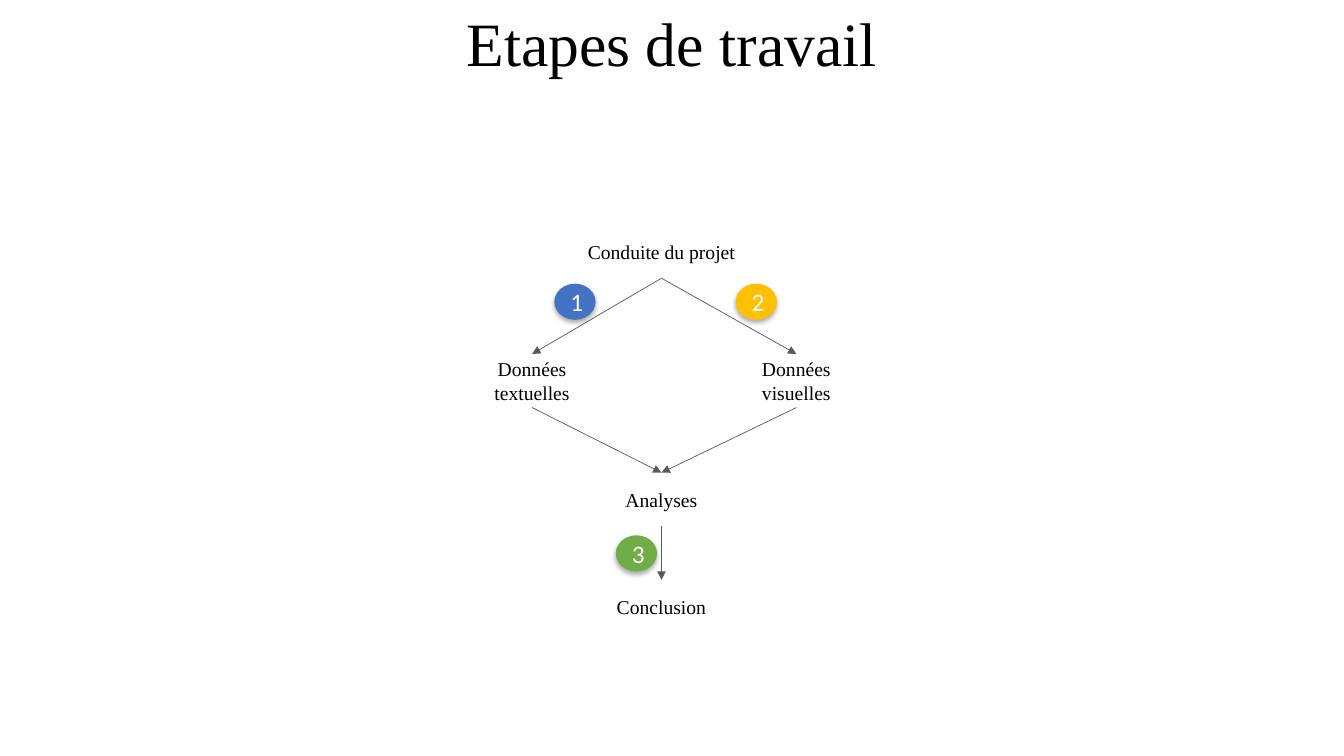
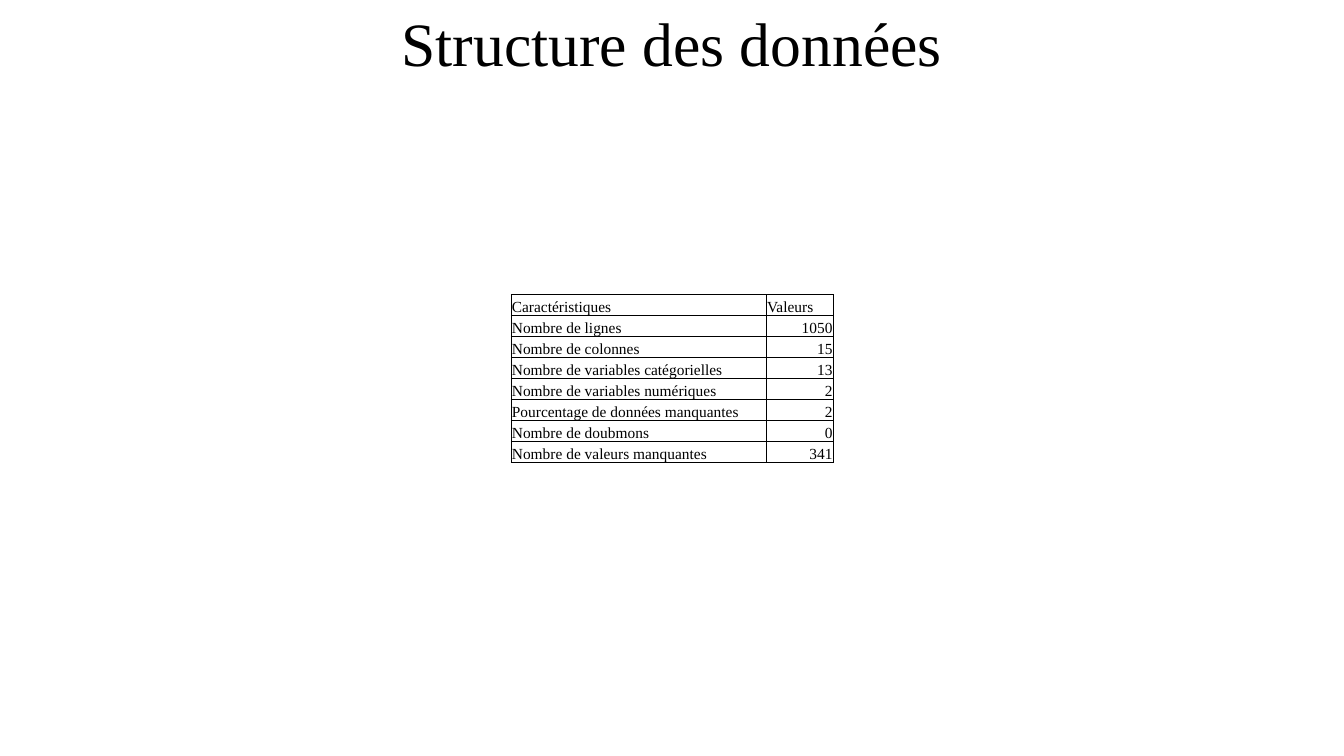
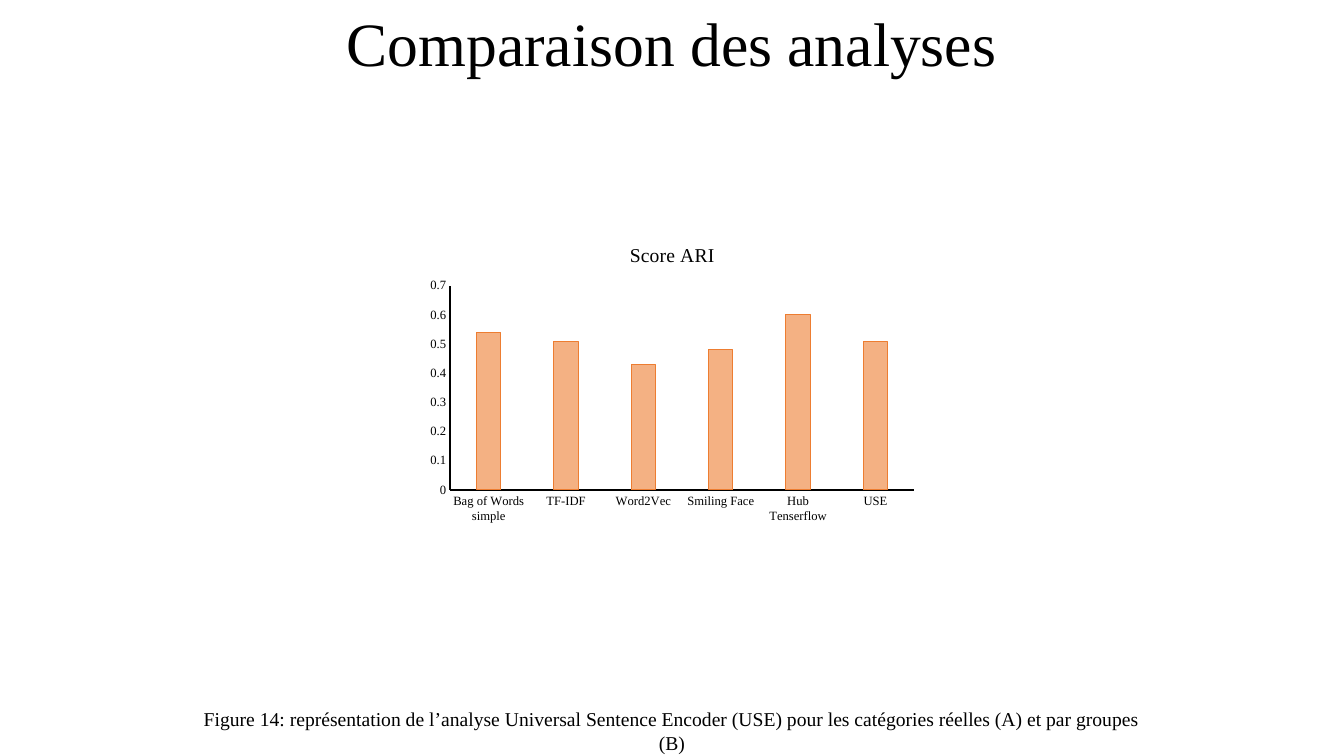
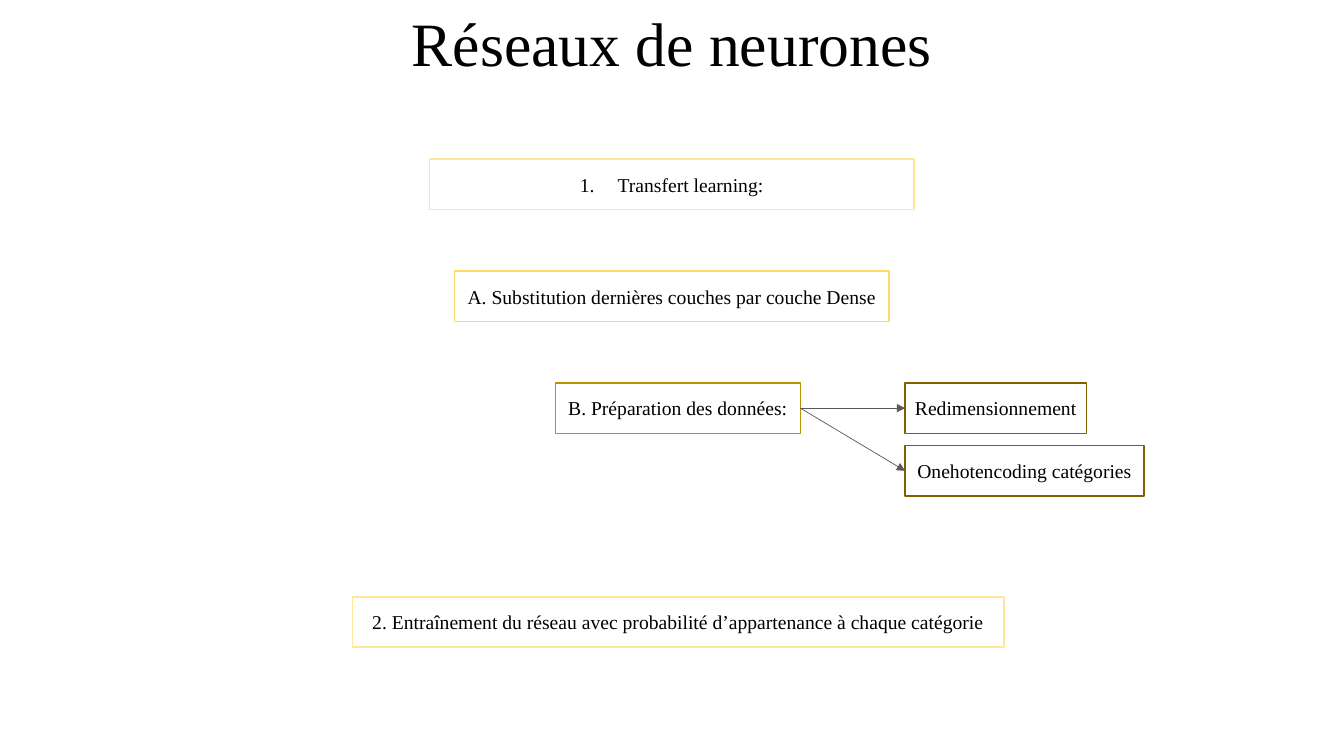
from dataclasses import dataclass

from lxml import etree
from pptx import Presentation
from pptx import util as u
from pptx.chart.data import CategoryChartData
from pptx.dml.color import RGBColor
from pptx.enum import chart as ch, shapes, text
from pptx.oxml import parse_xml
from pptx.oxml.ns import nsdecls, qn


@dataclass(frozen=True)
class Theme:
    serif: str = "Times New Roman"
    sans: str = "Calibri"
    ink: str = "000000"
    white: str = "FFFFFF"
    arrow: str = "595959"
    blue: str = "4472C4"
    gold: str = "FFC000"
    green: str = "70AD47"
    bar: str = "F4B183"
    bar_edge: str = "ED7D31"
    gold_pale: str = "FFE699"
    gold_light: str = "FFD966"
    gold_dark: str = "BF9000"
    gold_deep: str = "806000"
    title_size: int = 44
    badge_size: int = 18
    body_size: int = 14
    table_size: int = 11
    axis_size: int = 9
    thin: float = 0.5


T = Theme()
WIDTH, HEIGHT = 33.87, 19.05
TOP, LEFT, BOTTOM, RIGHT = range(4)


def rgb(color):
    return RGBColor.from_string(color)


def style_font(font, size, color=T.ink, name=T.serif):
    font.size = u.Pt(size)
    font.name = name
    font.color.rgb = rgb(color)
    font.bold = False


def write(tf, content, size=T.body_size, color=T.ink, name=T.serif,
          align=text.PP_ALIGN.CENTER, anchor=text.MSO_ANCHOR.MIDDLE):
    tf.vertical_anchor = anchor
    p = tf.paragraphs[0]
    p.alignment = align
    r = p.add_run()
    r.text = content
    style_font(r.font, size, color, name)
    return p


def place(sp, x, y, w, h):
    sp.left, sp.top, sp.width, sp.height = map(u.Cm, (x, y, w, h))


def add_slide(prs, title):
    s = prs.slides.add_slide(prs.slide_layouts[5])
    place(s.shapes.title, 0, 0, WIDTH, 2.34)
    p = write(s.shapes.title.text_frame, title, T.title_size)
    p.line_spacing = 0.9
    return s


def add_label(s, content, center, y, w, h=1.35):
    sp = s.shapes.add_textbox(*map(u.Cm, (center - w / 2, y, w, h)))
    sp.text_frame.word_wrap = True
    write(sp.text_frame, content)
    return sp


def add_arrow(s, start, end, start_site=BOTTOM, end_site=TOP):
    line = s.shapes.add_connector(shapes.MSO_CONNECTOR.STRAIGHT, 0, 0, 0, 0)
    line.begin_connect(start, start_site)
    line.end_connect(end, end_site)
    line.line.color.rgb = rgb(T.arrow)
    line.line.width = u.Pt(T.thin)
    etree.SubElement(line.line._get_or_add_ln(), qn("a:tailEnd"), type="triangle")
    etree.SubElement(line._element.spPr, qn("a:effectLst"))


def add_badge(s, number, x, y, color):
    sp = s.shapes.add_shape(shapes.MSO_SHAPE.OVAL, *map(u.Cm, (x, y, 1.04, 0.91)))
    sp.fill.solid()
    sp.fill.fore_color.rgb = rgb(color)
    sp.line.fill.background()
    sp._element.spPr.append(parse_xml(
        f'<a:effectLst {nsdecls("a")}>'
        f'<a:outerShdw blurRad="{u.Pt(3.5)}" dist="{u.Pt(2.2)}" dir="5400000" rotWithShape="0">'
        f'<a:srgbClr val="{T.ink}"><a:alpha val="32000"/></a:srgbClr>'
        '</a:outerShdw></a:effectLst>'))
    write(sp.text_frame, number, T.badge_size, T.white, T.sans)


def add_box(s, content, x, y, w, color, numbered=False):
    sp = s.shapes.add_shape(shapes.MSO_SHAPE.RECTANGLE, *map(u.Cm, (x, y, w, 1.27)))
    sp.shadow.inherit = False
    sp.fill.background()
    sp.line.color.rgb = rgb(color)
    sp.line.width = u.Pt(1)
    sp.text_frame.word_wrap = False
    p = write(sp.text_frame, content)
    if numbered:
        pPr = p._p.get_or_add_pPr()
        indent = u.Cm(0.95)
        pPr.set("marL", str(indent))
        pPr.set("indent", str(-indent))
        etree.SubElement(pPr, qn("a:buAutoNum"), type="arabicPeriod")
    return sp


def add_borders(cell):
    tcPr = cell._tc.get_or_add_tcPr()
    for i, side in enumerate(("lnL", "lnR", "lnT", "lnB")):
        tcPr.insert(i, parse_xml(
            f'<a:{side} {nsdecls("a")} w="{u.Pt(T.thin)}"><a:solidFill>'
            f'<a:srgbClr val="{T.ink}"/></a:solidFill></a:{side}>'))


def add_grid(s, rows, x, y, widths, row_height):
    frame = s.shapes.add_table(
        len(rows), len(widths),
        *map(u.Cm, (x, y, sum(widths), row_height * len(rows))))
    table = frame.table
    table.first_row = table.horz_banding = False
    for column, width in zip(table.columns, widths):
        column.width = u.Cm(width)
    for i, row in enumerate(rows):
        table.rows[i].height = u.Cm(row_height)
        for j, value in enumerate(row):
            cell = table.cell(i, j)
            cell.fill.background()
            cell.margin_left = cell.margin_right = cell.margin_top = u.Cm(0.02)
            cell.margin_bottom = 0
            right = i > 0 and j > 0
            align = text.PP_ALIGN.RIGHT if right else text.PP_ALIGN.LEFT
            write(cell.text_frame, value, T.table_size, align=align)
            cell.vertical_anchor = text.MSO_ANCHOR.BOTTOM
            add_borders(cell)


def add_bars(s, title, scores, x, y, w, h):
    data = CategoryChartData()
    data.categories = list(scores)
    data.add_series(title, list(scores.values()))
    chart = s.shapes.add_chart(
        ch.XL_CHART_TYPE.COLUMN_CLUSTERED, *map(u.Cm, (x, y, w, h)), data).chart
    style_font(chart.font, 10, name=T.sans)
    chart.has_legend = False
    chart.has_title = True
    r = chart.chart_title.text_frame.paragraphs[0].add_run()
    r.text = title
    style_font(r.font, T.body_size)
    chart.chart_title.include_in_layout = False
    for axis in (chart.category_axis, chart.value_axis):
        axis.has_major_gridlines = False
        axis.major_tick_mark = axis.minor_tick_mark = ch.XL_TICK_MARK.NONE
        axis.format.line.color.rgb = rgb(T.ink)
        axis.format.line.width = u.Pt(1.5)
        style_font(axis.tick_labels.font, T.axis_size)
    chart.value_axis.minimum_scale = 0
    chart.value_axis.maximum_scale = 0.7
    chart.value_axis.major_unit = 0.1
    plot = chart.plots[0]
    plot.gap_width, plot.overlap = 219, -27
    plot.vary_by_categories = False
    fmt = plot.series[0].format
    fmt.fill.solid()
    fmt.fill.fore_color.rgb = rgb(T.bar)
    fmt.line.color.rgb = rgb(T.bar_edge)
    fmt.line.width = u.Pt(0.75)


def steps_slide(prs):
    s = add_slide(prs, "Etapes de travail")
    middle = 16.67
    project = add_label(s, "Conduite du projet", middle, 5.66, 4.55)
    texts = add_label(s, "Données textuelles", 13.41, 8.92, 3.76)
    images = add_label(s, "Données visuelles", 20.07, 8.92, 3.76)
    analyses = add_label(s, "Analyses", middle, 11.91, 3.76)
    conclusion = add_label(s, "Conclusion", middle, 14.61, 3.76)
    for start, end in ((project, texts), (project, images), (texts, analyses),
                       (images, analyses), (analyses, conclusion)):
        add_arrow(s, start, end)
    add_badge(s, "1", 13.97, 7.15, T.blue)
    add_badge(s, "2", 18.54, 7.15, T.gold)
    add_badge(s, "3", 15.52, 13.49, T.green)


def structure_slide(prs):
    s = add_slide(prs, "Structure des données")
    rows = [
        ("Caractéristiques", "Valeurs"),
        ("Nombre de lignes", "1050"),
        ("Nombre de colonnes", "15"),
        ("Nombre de variables catégorielles", "13"),
        ("Nombre de variables numériques", "2"),
        ("Pourcentage de données manquantes", "2"),
        ("Nombre de doubmons", "0"),
        ("Nombre de valeurs manquantes", "341"),
    ]
    add_grid(s, rows, 12.88, 7.42, (6.43, 1.69), 0.53)


def comparison_slide(prs):
    s = add_slide(prs, "Comparaison des analyses")
    scores = {"Bag of Words simple": 0.54, "TF-IDF": 0.51, "Word2Vec": 0.43,
              "Smiling Face": 0.48, "Hub Tenserflow": 0.6, "USE": 0.51}
    add_bars(s, "Score ARI", scores, 10.59, 5.72, 12.7, 7.62)
    add_label(s, "Figure 14: représentation de l’analyse Universal Sentence Encoder (USE) "
                 "pour les catégories réelles (A) et par groupes (B)",
              WIDTH / 2, 17.78, 24.84, 1.27)


def network_slide(prs):
    s = add_slide(prs, "Réseaux de neurones")
    add_box(s, "Transfert learning:", 10.82, 4.01, 12.22, T.gold_pale, numbered=True)
    add_box(s, "A. Substitution dernières couches par couche Dense",
            11.46, 6.83, 10.95, T.gold_light)
    preparation = add_box(s, "B. Préparation des données:", 14, 9.65, 6.17, T.gold_dark)
    resizing = add_box(s, "Redimensionnement", 22.81, 9.65, 4.57, T.gold_deep)
    encoding = add_box(s, "Onehotencoding catégories", 22.81, 11.23, 6.02, T.gold_deep)
    add_box(s, "2. Entraînement du réseau avec probabilité d’appartenance à chaque catégorie",
            8.89, 15.04, 16.41, T.gold_pale)
    for target in (resizing, encoding):
        add_arrow(s, preparation, target, RIGHT, LEFT)


def main():
    prs = Presentation()
    prs.slide_width, prs.slide_height = u.Cm(WIDTH), u.Cm(HEIGHT)
    for build in (steps_slide, structure_slide, comparison_slide, network_slide):
        build(prs)
    prs.save("out.pptx")


if __name__ == "__main__":
    main()
